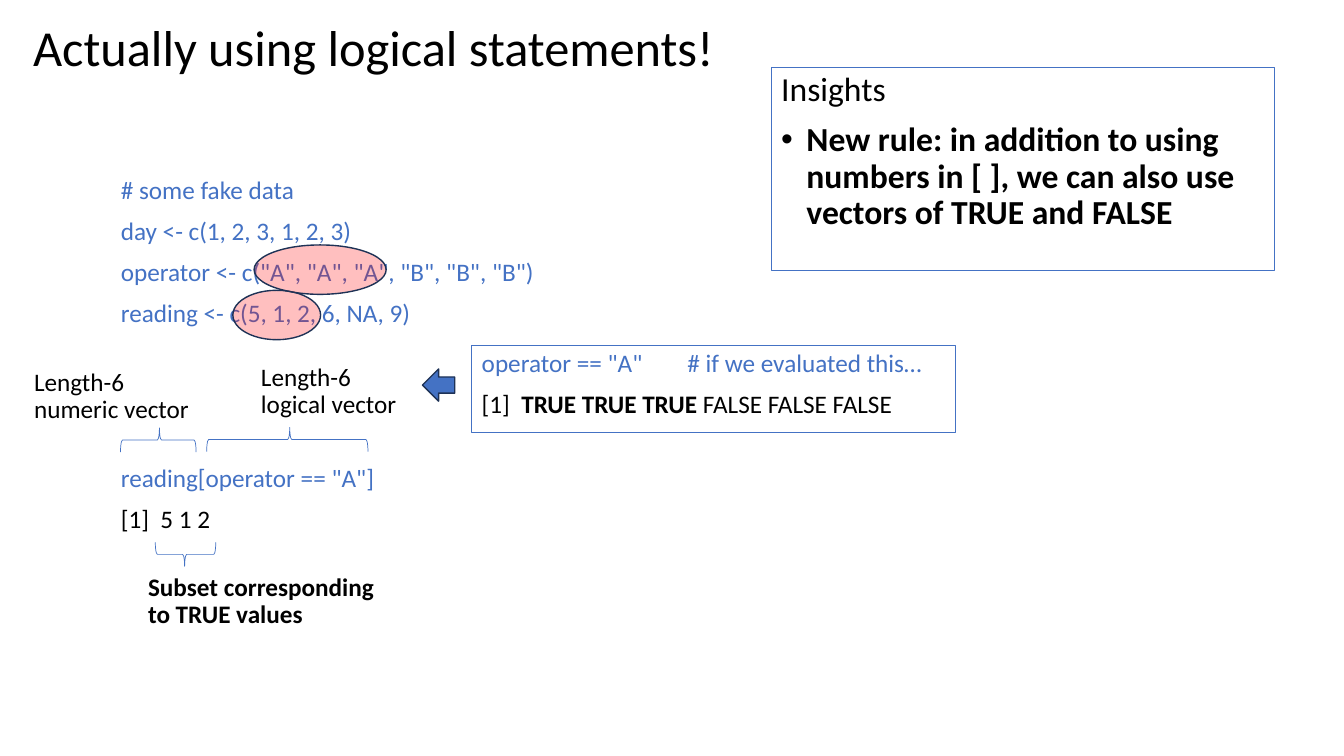
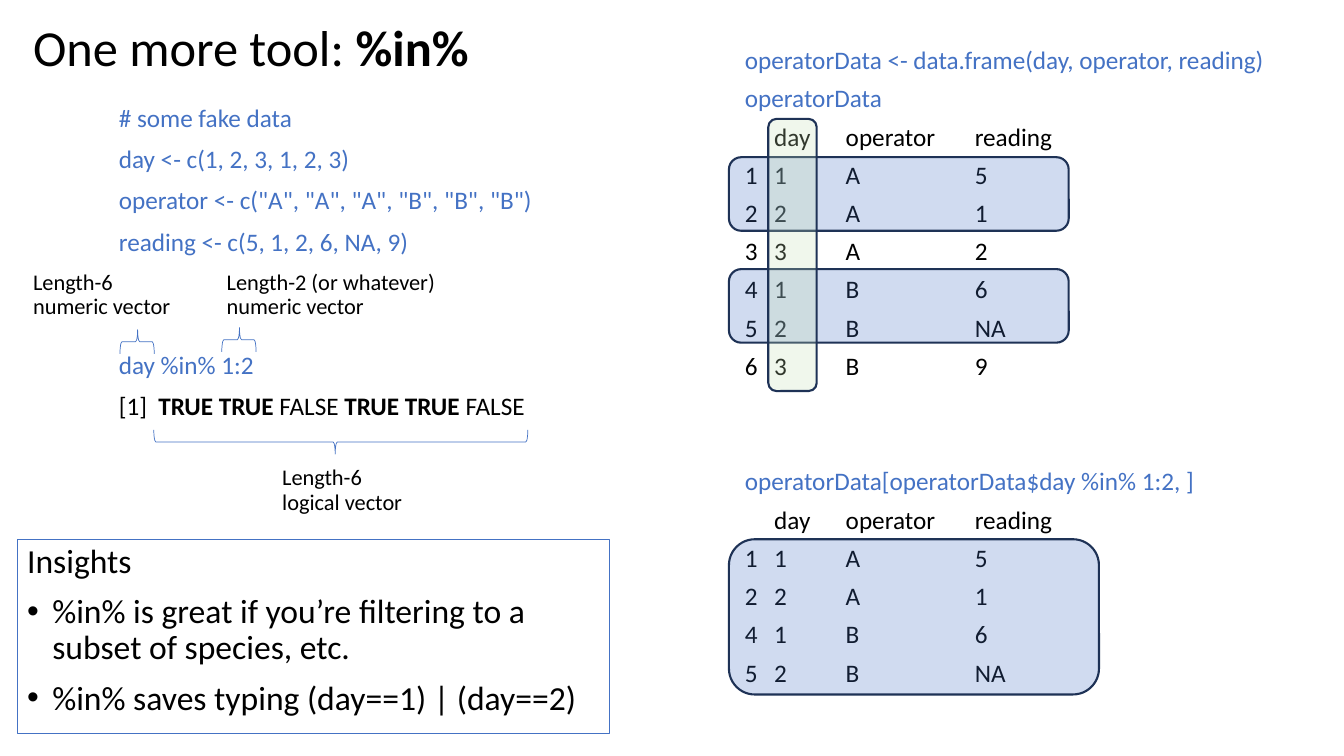
from dataclasses import dataclass

from lxml.etree import SubElement
from pptx import Presentation
from pptx.dml.color import RGBColor
from pptx.enum.shapes import MSO_SHAPE
from pptx.enum.text import MSO_ANCHOR, PP_ALIGN
from pptx.oxml.ns import qn
from pptx.util import Emu, Pt

PX = 9144  # 100 px to the inch


@dataclass(frozen=True)
class Theme:
    font: str = "Calibri"
    blue: str = "4472C4"
    navy: str = "1E3256"
    black: str = "000000"
    red: str = "FF0000"
    green: str = "C5E0B4"
    title: int = 36
    large: int = 24
    body: int = 18
    small: int = 16
    thin: float = 0.5
    frame: float = 0.75
    edge: float = 1
    thick: float = 1.5
    alpha: int = 25


T = Theme()
STYLES = {
    "title": (T.title, T.black),
    "code": (T.body, T.blue),
    "out": (T.body, T.black),
    "label": (T.body, T.black),
    "note": (T.small, T.black),
    "head": (T.large, T.black),
    "bullet": (T.large, T.black),
}
DATA = [
    ("code", "# some fake data"),
    ("code", "day <- c(1, 2, 3, 1, 2, 3)"),
    ("code", 'operator <- c("A", "A", "A", "B", "B", "B")'),
    ("code", "reading <- c(5, 1, 2, 6, NA, 9)"),
]
HEADS = ("", "day", "operator", "reading")
ROWS = list(zip("123456", "123123", "AAABBB", ("5", "1", "2", "6", "NA", "9")))
STOPS = (29, 100, 228)


def emu(*sizes):
    return [Emu(size * PX) for size in sizes]


def apply(item, values):
    for name, value in values.items():
        setattr(item, name, value)


def outline(shape, color, width):
    shape.line.color.rgb = RGBColor.from_string(color)
    shape.line.width = Pt(width)


def bullet(para):
    props = para._p.get_or_add_pPr()
    indent = 25 * PX
    props.set("marL", str(indent))
    props.set("indent", str(-indent))
    SubElement(props, qn("a:buFont"), typeface="Arial")
    SubElement(props, qn("a:buChar"), char="•")


def tabs(para, stops):
    stop_list = SubElement(para._p.get_or_add_pPr(), qn("a:tabLst"))
    for stop in stops:
        SubElement(stop_list, qn("a:tab"), pos=str(stop * PX), algn="l")


def write(para, kind, text):
    """Add the runs of one line; text between ** marks is bold."""
    size, color = STYLES[kind]
    for index, part in enumerate(text.split("**")):
        if part:
            run = para.add_run()
            run.text = part
            apply(run.font, {"name": T.font, "size": Pt(size), "bold": index % 2 == 1})
            run.font.color.rgb = RGBColor.from_string(color)


def add_text(slide, box, lines, framed=False, space=0.9, stops=(), anchor=MSO_ANCHOR.TOP):
    """Place lines of (style, text), with a thin frame if asked."""
    shape = slide.shapes.add_textbox(*emu(*box))
    frame = shape.text_frame
    apply(frame, {"word_wrap": True, "vertical_anchor": anchor})
    if framed:
        outline(shape, T.blue, T.frame)
    for index, (kind, text) in enumerate(lines):
        para = frame.add_paragraph() if index else frame.paragraphs[0]
        before = Pt(10 if index else 0)
        apply(para, {"alignment": PP_ALIGN.LEFT, "line_spacing": space, "space_before": before})
        if kind == "bullet":
            bullet(para)
        if stops:
            tabs(para, stops)
        write(para, kind, text)


def add_form(slide, form, box, fill=None, alpha=None, line=T.navy, width=T.edge):
    shape = slide.shapes.add_shape(form, *emu(*box))
    shape.shadow.inherit = False
    outline(shape, line, width)
    if fill is None:
        shape.fill.background()
        return shape
    shape.fill.solid()
    shape.fill.fore_color.rgb = RGBColor.from_string(fill)
    if alpha is not None:
        color = shape._element.spPr.find(qn("a:solidFill"))[0]
        SubElement(color, qn("a:alpha"), val=str(alpha * 1000))
    return shape


def add_brace(slide, left, top, wide, up=True):
    """Lay a brace flat, its point up or down, over the given span."""
    deep = 24
    shift = (wide - deep) // 2
    box = (left + shift, top - shift, deep, wide)
    shape = add_form(slide, MSO_SHAPE.RIGHT_BRACE, box, line=T.blue, width=T.thin)
    shape.rotation = 270 if up else 90
    shape.adjustments[1] = 0.515


def add_print(slide, top, code, rows):
    """Show code lines and the data frame that they print."""
    lines = [("code", text) for text in code]
    lines += [("out", "\t".join(row)) for row in [HEADS, *rows]]
    add_text(slide, (729, top, 554, 240), lines, space=0.8, stops=STOPS)


def add_slide(deck, title):
    slide = deck.slides.add_slide(deck.slide_layouts[6])
    add_text(slide, (23, 0, 1245, 100), [("title", title)], anchor=MSO_ANCHOR.MIDDLE)
    return slide


def logic(deck):
    slide = add_slide(deck, "Actually using logical statements!")
    add_text(slide, (110, 171, 459, 170), DATA)
    add_text(slide, (110, 457, 459, 90),
             [("code", 'reading[operator == "A"]'), ("out", "[1]  5 1 2")])
    for box, text in (
        ((24, 362, 182, 73), "Length-6 numeric vector"),
        ((249, 357, 158, 73), "Length-6 logical vector"),
        ((137, 565, 245, 69), "**Subset corresponding to TRUE values**"),
    ):
        add_text(slide, box, [("label", text)])
    for left, top, wide, up in ((120, 424, 75, True), (205, 424, 160, True), (154, 538, 60, False)):
        add_brace(slide, left, top, wide, up)
    for box in ((231, 288, 87, 49), (252, 243, 131, 49)):
        add_form(slide, MSO_SHAPE.OVAL, box, T.red, T.alpha)
    add_text(slide, (468, 343, 480, 86), [
        ("code", 'operator == "A"\t# if we evaluated this…'),
        ("out", "[1]  **TRUE TRUE TRUE** FALSE FALSE FALSE"),
    ], framed=True, stops=(204,))
    add_form(slide, MSO_SHAPE.LEFT_ARROW, (419, 366, 32, 32), T.blue)
    add_text(slide, (765, 67, 499, 201), [
        ("head", "Insights"),
        ("bullet", "**New rule: in addition to using numbers in [ ], "
                   "we can also use vectors of TRUE and FALSE**"),
    ], framed=True)


def member(deck):
    slide = add_slide(deck, "One more tool: **%in%**")
    add_text(slide, (108, 100, 459, 170), DATA)
    add_text(slide, (108, 345, 459, 90), [
        ("code", "day %in% 1:2"),
        ("out", "[1]  **TRUE TRUE **FALSE **TRUE TRUE **FALSE"),
    ])
    add_print(slide, 45, ["operatorData <- data.frame(day, operator, reading)", "operatorData"], ROWS)
    add_print(slide, 463, ["operatorData[operatorData$day %in% 1:2, ]"],
              [row for row in ROWS if row[1] in "12"])
    for box, text in (
        ((23, 264, 162, 73), "Length-6 numeric vector"),
        ((270, 458, 158, 73), "Length-6 logical vector"),
        ((215, 264, 265, 73), "Length-2 (or whatever) numeric vector"),
    ):
        add_text(slide, box, [("note", text)])
    for left, top, wide, up in ((119, 327, 34, True), (220, 325, 34, True), (153, 426, 371, False)):
        add_brace(slide, left, top, wide, up)
    add_text(slide, (17, 535, 588, 193), [
        ("head", "Insights"),
        ("bullet", "%in% is great if you’re filtering to a subset of species, etc."),
        ("bullet", "%in% saves typing (day==1) | (day==2)"),
    ], framed=True)
    for box, fill in (
        ((723, 156, 337, 73), T.blue),
        ((723, 267, 337, 73), T.blue),
        ((723, 535, 367, 154), T.blue),
        ((762, 118, 48, 270), T.green),
    ):
        add_form(slide, MSO_SHAPE.ROUNDED_RECTANGLE, box, fill, T.alpha, width=T.thick)


def main():
    deck = Presentation()
    deck.slide_width, deck.slide_height = emu(1333, 750)
    logic(deck)
    member(deck)
    deck.save("out.pptx")


if __name__ == "__main__":
    main()
